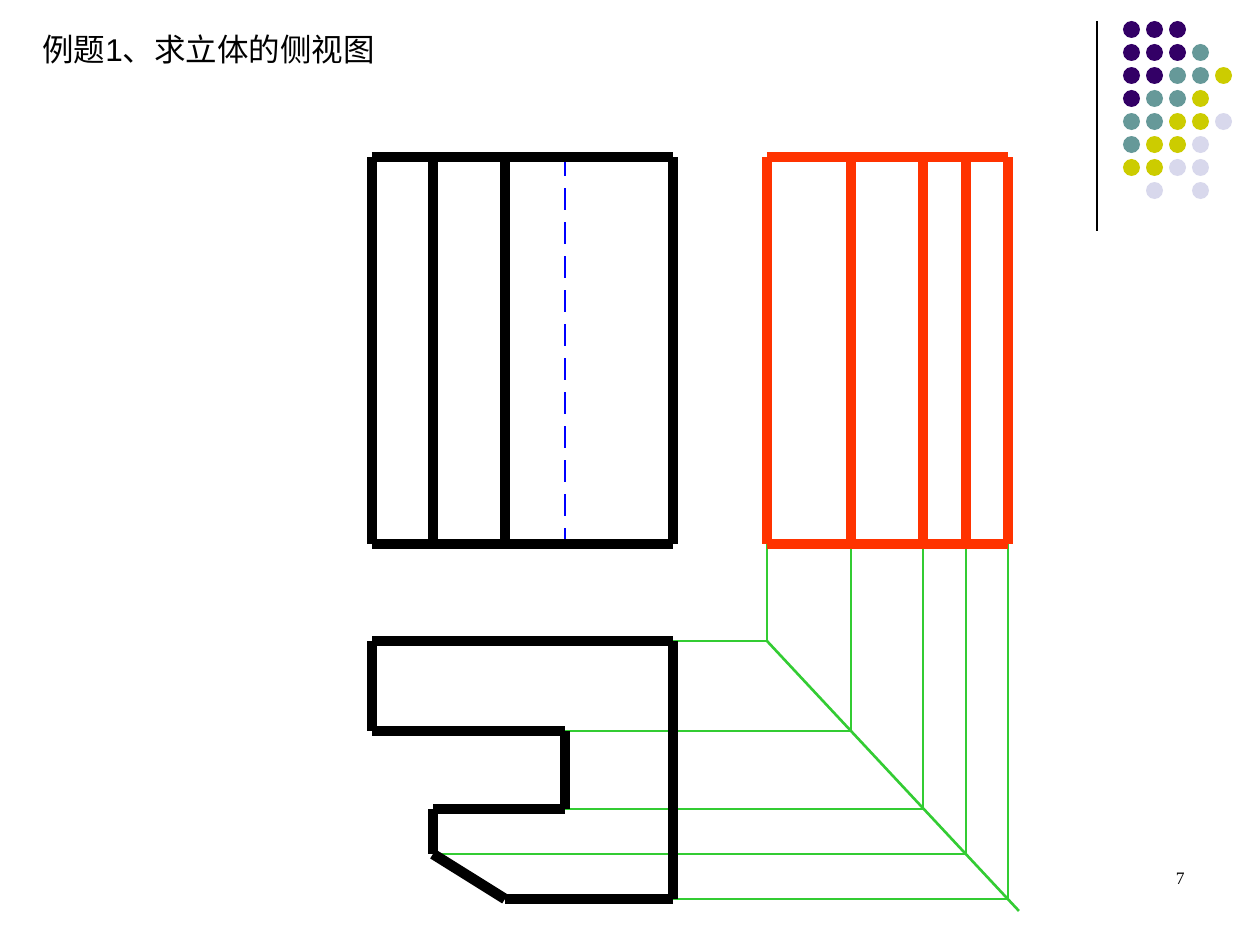
from itertools import pairwise

from pptx import Presentation
from pptx.dml.color import RGBColor
from pptx.enum.shapes import MSO_CONNECTOR, MSO_SHAPE
from pptx.enum.text import MSO_ANCHOR, MSO_AUTO_SIZE, PP_ALIGN
from pptx.oxml.ns import qn
from pptx.util import Emu, Inches, Pt

PX_PER_INCH = 126
BLACK, RED, GREEN, BLUE = "000000", "FF3300", "33CC33", "0000FF"
DOT_COLORS = {"P": "330066", "T": "669999", "Y": "CCCC00", "L": "D8D8EC"}
DOT_ROWS = ["PPP", "PPPT", "PPTTY", "PTTY", "TTYYL", "TYYL", "YYLL", " L L"]


def px(length):
    return Emu(round(length * 914400 / PX_PER_INCH))


def color(hex_string):
    return RGBColor.from_string(hex_string)


def write_text(frame, text, font="Arial", size=18, fill=BLACK, align=PP_ALIGN.LEFT):
    paragraph = frame.paragraphs[0]
    paragraph.alignment = align
    run = paragraph.add_run()
    run.text = text
    run.font.name = font
    run.font.size = Pt(size)
    run.font.color.rgb = color(fill)


class Drawing:
    thick, thin, hairline = 6, 1.5, 0.75

    def __init__(self, slide):
        self.slide = slide

    def line(self, start, end, stroke=BLACK, width=thick):
        connector = self.slide.shapes.add_connector(
            MSO_CONNECTOR.STRAIGHT, *map(px, (*start, *end)))
        connector.line.color.rgb = color(stroke)
        connector.line.width = Pt(width)
        properties = connector._element.spPr
        properties.append(properties.makeelement(qn("a:effectLst"), {}))

    def chain(self, points, stroke=BLACK):
        for start, end in pairwise(points):
            self.line(start, end, stroke)

    def dot(self, left, top, size, fill):
        shape = self.slide.shapes.add_shape(
            MSO_SHAPE.OVAL, px(left), px(top), px(size), px(size))
        shape.shadow.inherit = False
        shape.fill.solid()
        shape.fill.fore_color.rgb = color(fill)
        shape.line.fill.background()

    def text(self, left, top, width, height, text, wrap=True, **style):
        box = self.slide.shapes.add_textbox(px(left), px(top), px(width), px(height))
        frame = box.text_frame
        frame.word_wrap = wrap
        frame.vertical_anchor = MSO_ANCHOR.TOP
        frame.auto_size = MSO_AUTO_SIZE.NONE if wrap else MSO_AUTO_SIZE.SHAPE_TO_FIT_TEXT
        write_text(frame, text, **style)

    def elevation(self, edges, outline_stops, top, bottom, stroke):
        """Horizontal edges between the stops, and a vertical at each edge."""
        for level in (top, bottom):
            self.chain([(x, level) for x in outline_stops], stroke)
        for x in edges:
            self.line((x, bottom), (x, top), stroke)


def main():
    presentation = Presentation()
    presentation.slide_width, presentation.slide_height = Inches(10), Inches(7.5)
    slide = presentation.slides.add_slide(presentation.slide_layouts[6])
    drawing = Drawing(slide)

    # Corner ornament
    drawing.line((1097, 21), (1097, 231), BLACK, Drawing.hairline)
    for row, letters in enumerate(DOT_ROWS):
        for column, letter in enumerate(letters):
            if letter in DOT_COLORS:
                drawing.dot(1123 + 23 * column, 21 + 23 * row, 17, DOT_COLORS[letter])

    # Shared coordinates of the three views
    top, bottom = 157, 544
    left, step, bevel, slot, right = 372, 433, 505, 565, 673
    depths = [641, 731, 809, 854, 899]
    side_edges = [767, 851, 923, 966, 1008]
    back, slot_back, slot_front, bevel_start, front = depths

    # Projection lines, turned at the diagonal
    drawing.line((side_edges[0], back), (1019, 911), GREEN, Drawing.thin)
    for start, depth, edge in zip([right, slot, slot, step, right], depths, side_edges):
        drawing.line((start, depth), (edge, depth), GREEN, Drawing.thin)
        drawing.line((edge, bottom), (edge, depth), GREEN, Drawing.thin)

    # Front view, with the hidden slot edge dashed
    for dash in range(154, bottom, 34):
        drawing.line((slot, min(dash + 22, bottom)), (slot, max(dash, top)),
                     BLUE, Drawing.thin)
    front_edges = [left, step, bevel, right]
    drawing.elevation(front_edges, front_edges, top, bottom, BLACK)

    # Top view
    drawing.chain([(left, back), (left, slot_back), (slot, slot_back),
                   (slot, slot_front), (step, slot_front), (step, bevel_start),
                   (bevel, front), (right, front), (right, back), (left, back)])

    # Side view, the answer
    drawing.elevation(side_edges, side_edges, top, bottom, RED)

    # Title and page number
    drawing.text(30, 24, 373, 50, "例题1、求立体的侧视图", wrap=False)
    drawing.text(903, 861, 294, 63, "7", font="Times New Roman", size=10,
                 align=PP_ALIGN.RIGHT)

    presentation.save("out.pptx")


if __name__ == "__main__":
    main()
